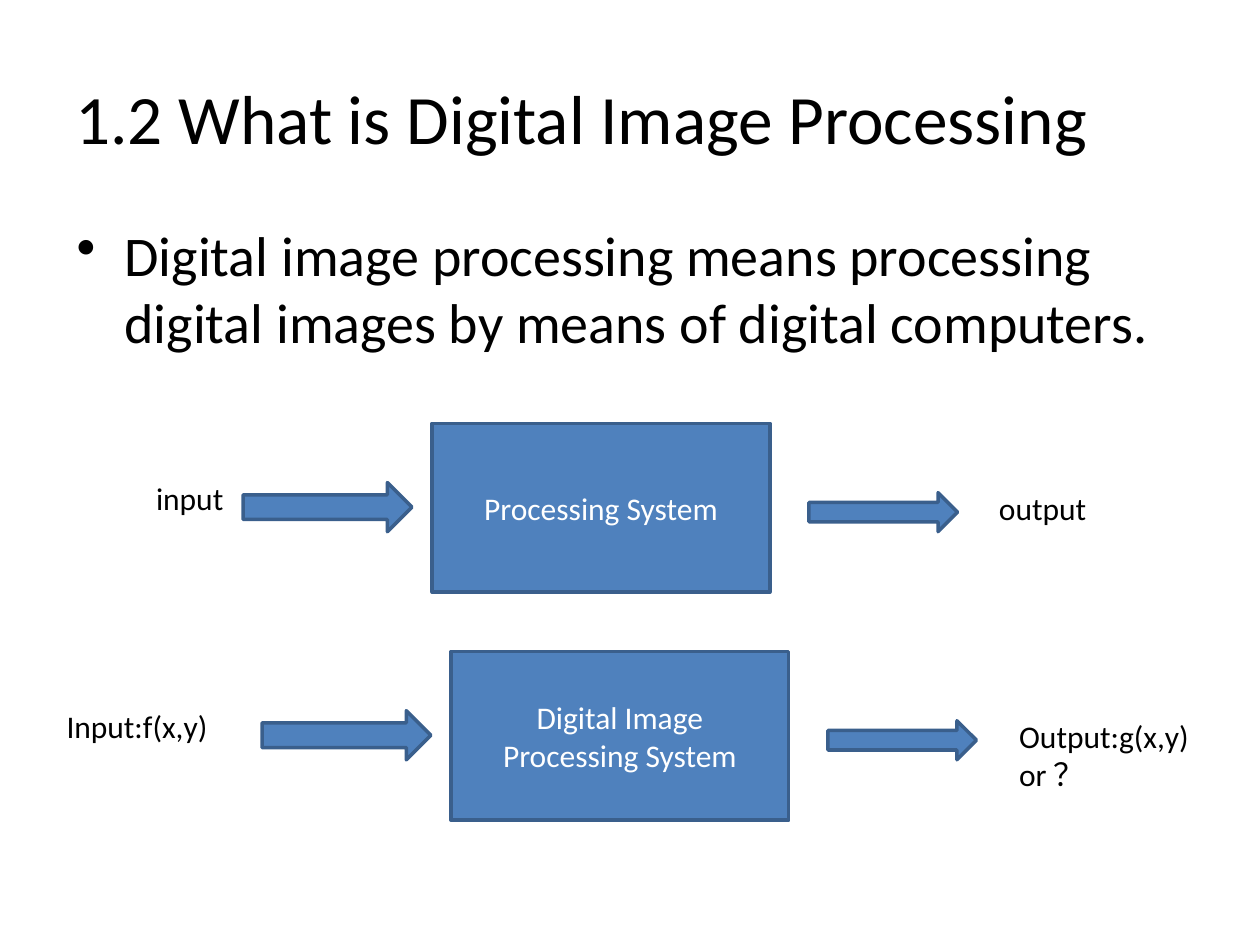
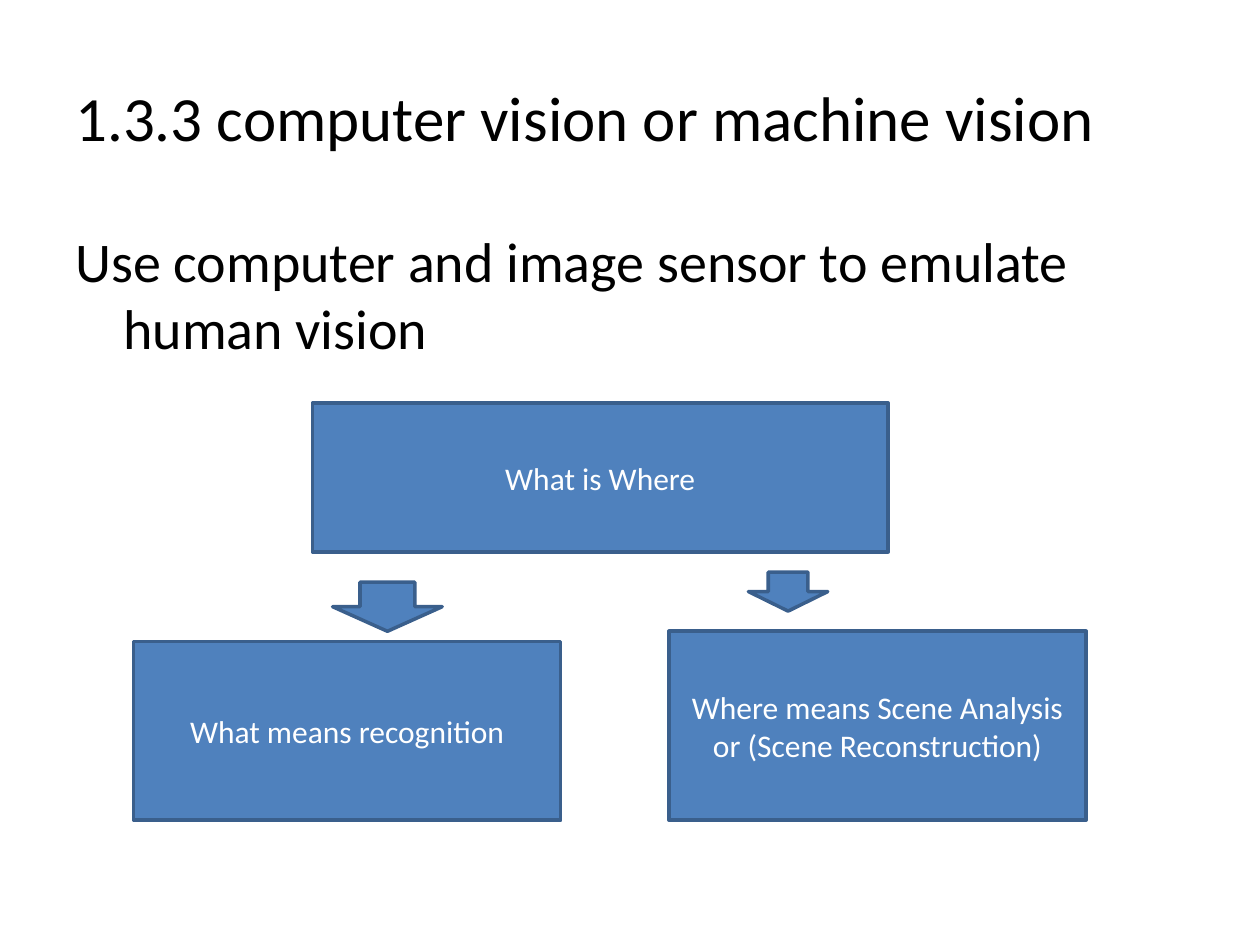
import pptx
import pptx.util
import pptx.dml.color
import pptx.enum.shapes
import pptx.enum.text
import pptx.oxml.xmlchemy
import lxml.etree

Inches = pptx.util.Inches
RGBColor = pptx.dml.color.RGBColor
SHAPE = pptx.enum.shapes.MSO_SHAPE
ANCHOR = pptx.enum.text.MSO_ANCHOR
ALIGN = pptx.enum.text.PP_ALIGN

BLACK = RGBColor(0x00, 0x00, 0x00)
WHITE = RGBColor(0xFF, 0xFF, 0xFF)
BLUE = RGBColor(0x4F, 0x81, 0xBD)
DARK_BLUE = RGBColor(0x3A, 0x5F, 0x8C)
FONT = "Calibri"
HANGING = 0.38

PROCESSING = {
    "title": "1.2 What is Digital Image Processing",
    "title_size": 39.6,
    "body": "Digital image processing means processing digital images "
            "by means of digital computers.",
    "body_at": (0.51, 1.7, 9, 4.95),
    "bullet": "•",
}
# Each flow: left and top of its system box, then (text, left, width) of labels
FLOWS = [
    {"box": (3.43, 3.36), "system": ["Processing System"],
     "input": ("input", 1.14, 0.87), "output": ("output", 7.83, 1.18)},
    {"box": (3.58, 5.17), "system": ["Digital Image", "Processing System"],
     "input": ("Input:f(x,y)", 0.43, 1.73),
     "output": ("Output:g(x,y) or ？", 7.99, 2.01)},
]

VISION = {
    "title": "1.3.3 computer vision or machine vision",
    "title_size": 36,
    "body": "Use computer and image sensor to emulate human vision",
    "body_at": (0.5, 1.75, 9, 4.95),
    "bullet": None,
}
QUESTIONS = [
    ("What is Where", (2.48, 3.2, 4.57, 1.18)),
    ("What means recognition", (1.06, 5.09, 3.39, 1.42)),
    ("Where means Scene Analysis or (Scene Reconstruction)", (5.31, 5.01, 3.31, 1.5)),
]
DOWN_ARROWS = [(2.64, 4.62, 0.87, 0.39), (5.94, 4.54, 0.63, 0.31)]


def write(frame, *lines, size=18, color=BLACK, align=ALIGN.LEFT,
          anchor=ANCHOR.TOP, hanging=0, bullet=None):
    """Fill a text frame, one paragraph per line."""
    frame.word_wrap = True
    frame.vertical_anchor = anchor
    for number, line in enumerate(lines):
        paragraph = frame.add_paragraph() if number else frame.paragraphs[0]
        paragraph.alignment = align
        properties = paragraph._p.get_or_add_pPr()
        if hanging:
            properties.set("marL", str(Inches(hanging)))
            properties.set("indent", str(-Inches(hanging)))
        if bullet:
            tag = pptx.oxml.xmlchemy.qn("a:buChar")
            lxml.etree.SubElement(properties, tag).set("char", bullet)
        run = paragraph.add_run()
        run.text = line
        run.font.name = FONT
        run.font.size = pptx.util.Pt(size)
        run.font.color.rgb = color


def add_text(slide, at, *lines, **style):
    box = slide.shapes.add_textbox(*map(Inches, at))
    write(box.text_frame, *lines, **style)


def add_block(slide, kind, at, *lines):
    """Add a blue shape, with centred white text if lines are given."""
    block = slide.shapes.add_shape(kind, *map(Inches, at))
    block.shadow.inherit = False
    block.fill.solid()
    block.fill.fore_color.rgb = BLUE
    block.line.color.rgb = DARK_BLUE
    block.line.width = pptx.util.Pt(2)
    if lines:
        write(block.text_frame, *lines, color=WHITE, align=ALIGN.CENTER,
              anchor=ANCHOR.MIDDLE)


def add_topic_slide(deck, topic):
    slide = deck.slides.add_slide(deck.slide_layouts[6])
    add_text(slide, (0.5, 0.3, 9, 1.25), topic["title"],
             size=topic["title_size"], anchor=ANCHOR.MIDDLE)
    add_text(slide, topic["body_at"], topic["body"], size=32,
             hanging=HANGING, bullet=topic["bullet"])
    return slide


def add_flow(slide, flow):
    """Draw input label, arrow, system box, arrow and output label in a row."""
    left, top = flow["box"]
    add_block(slide, SHAPE.RECTANGLE, (left, top, 2.68, 1.34), *flow["system"])
    add_block(slide, SHAPE.RIGHT_ARROW, (left - 1.5, top + 0.47, 1.34, 0.39))
    add_block(slide, SHAPE.RIGHT_ARROW, (left + 2.99, top + 0.55, 1.18, 0.31))
    for end, drop in (("input", 0.39), ("output", 0.47)):
        label, label_left, width = flow[end]
        add_text(slide, (label_left, top + drop, width, 0.4), label)


def main():
    deck = pptx.Presentation()
    deck.slide_width, deck.slide_height = Inches(10), Inches(7.5)

    processing = add_topic_slide(deck, PROCESSING)
    for flow in FLOWS:
        add_flow(processing, flow)

    vision = add_topic_slide(deck, VISION)
    for question, at in QUESTIONS:
        add_block(vision, SHAPE.RECTANGLE, at, question)
    for at in DOWN_ARROWS:
        add_block(vision, SHAPE.DOWN_ARROW, at)

    deck.save("out.pptx")


if __name__ == "__main__":
    main()
